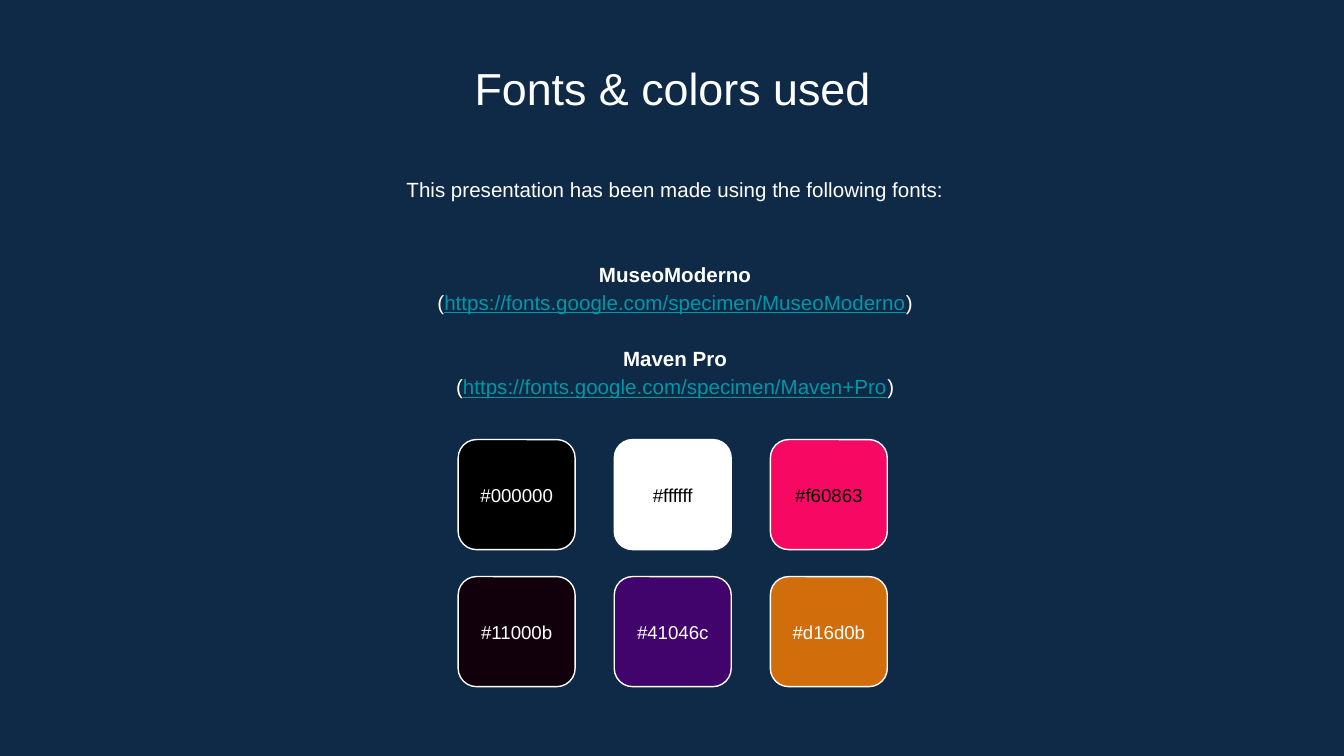
from dataclasses import dataclass

from pptx import Presentation
from pptx.dml.color import RGBColor
from pptx.enum.shapes import MSO_SHAPE as Preset
from pptx.enum.text import MSO_ANCHOR as Anchor, MSO_AUTO_SIZE as AutoSize, PP_ALIGN as Align
from pptx.util import Cm, Pt


@dataclass(frozen=True)
class Theme:
    """Colours, font and type sizes of the slide."""
    background: str = "0E2A47"
    light: str = "FFFFFF"
    dark: str = "000000"
    link: str = "0097A7"
    font: str = "Arial"
    title_size: int = 24
    body_size: int = 11
    label_size: int = 10


THEME = Theme()
FONTS = [
    ("MuseoModerno", "https://fonts.google.com/specimen/MuseoModerno"),
    ("Maven Pro", "https://fonts.google.com/specimen/Maven+Pro"),
]
SWATCHES = [
    [("#000000", THEME.light), ("#ffffff", THEME.dark), ("#f60863", THEME.dark)],
    [("#11000b", THEME.light), ("#41046c", THEME.light), ("#d16d0b", THEME.light)],
]


def colour(value):
    """Turn a hex code, with or without its hash, into a colour."""
    return RGBColor.from_string(value.lstrip("#").upper())


def style_span(span, size, ink=THEME.light, bold=False, underline=False):
    """Format one run of text."""
    font = span.font
    font.name, font.size = THEME.font, Pt(size)
    font.bold, font.underline = bold, underline
    font.color.rgb = colour(ink)


def set_frame(box, anchor, inset=0.25):
    """Give a box wrapped text, equal insets and an anchor."""
    frame = box.text_frame
    frame.word_wrap, frame.auto_size = True, AutoSize.NONE
    frame.vertical_anchor = anchor
    frame.margin_left = frame.margin_right = Cm(inset)
    frame.margin_top = frame.margin_bottom = Cm(inset)
    return frame


def set_line(box, text, size, ink=THEME.light, anchor=Anchor.TOP):
    """Put one centred line of text in a box."""
    frame = set_frame(box, anchor)
    frame.text = text
    para = frame.paragraphs[0]
    para.alignment = Align.CENTER
    style_span(para.runs[0], size, ink)
    return para


def add_title(page, text):
    """Place and format the title placeholder."""
    title = page.shapes.title
    title.left, title.top, title.width, title.height = Cm(2.92), Cm(0.89), Cm(19.58), Cm(1.35)
    set_line(title, text, THEME.title_size).line_spacing = 1.0


def add_intro(page, text):
    """Add the sentence under the title."""
    box = page.shapes.add_textbox(Cm(2.97), Cm(3.02), Cm(19.58), Cm(1.22))
    set_line(box, text, THEME.body_size).line_spacing = 1.15


def add_font_list(page):
    """Add each font name with its address below it."""
    box = page.shapes.add_textbox(Cm(2.97), Cm(4.47), Cm(19.58), Cm(3.48))
    frame = set_frame(box, Anchor.MIDDLE)
    for index, (name, address) in enumerate(FONTS):
        heading = frame.add_paragraph() if index else frame.paragraphs[0]
        if index:
            heading.space_before = Pt(15)
        source = frame.add_paragraph()
        for para, texts in ((heading, [name]), (source, ["(", address, ")"])):
            para.alignment, para.line_spacing = Align.CENTER, 1.15
            for text in texts:
                span = para.add_run()
                span.text = text
                is_link = text == address
                style_span(span, THEME.body_size, THEME.link if is_link else THEME.light,
                           para is heading, is_link)


def add_swatch(page, left, top, code, ink):
    """Add a rounded square filled with the colour it names."""
    swatch = page.shapes.add_shape(Preset.ROUNDED_RECTANGLE, Cm(left), Cm(top), Cm(2.21), Cm(2.08))
    swatch.shadow.inherit = False
    swatch.fill.solid()
    swatch.fill.fore_color.rgb = colour(code)
    swatch.line.color.rgb = colour(THEME.light)
    swatch.line.width = Pt(0.75)
    set_line(swatch, code, THEME.label_size, ink, Anchor.MIDDLE)


def main():
    """Build the slide and save it."""
    deck = Presentation()
    deck.slide_width, deck.slide_height = Cm(25.4), Cm(14.29)
    page = deck.slides.add_slide(deck.slide_layouts[5])
    page.background.fill.solid()
    page.background.fill.fore_color.rgb = colour(THEME.background)
    add_title(page, "Fonts & colors used")
    add_intro(page, "This presentation has been made using the following fonts:")
    add_font_list(page)
    for row, swatches in enumerate(SWATCHES):
        for column, (code, ink) in enumerate(swatches):
            add_swatch(page, 8.66 + 2.95 * column, 8.31 + 2.59 * row, code, ink)
    deck.save("out.pptx")


if __name__ == "__main__":
    main()
